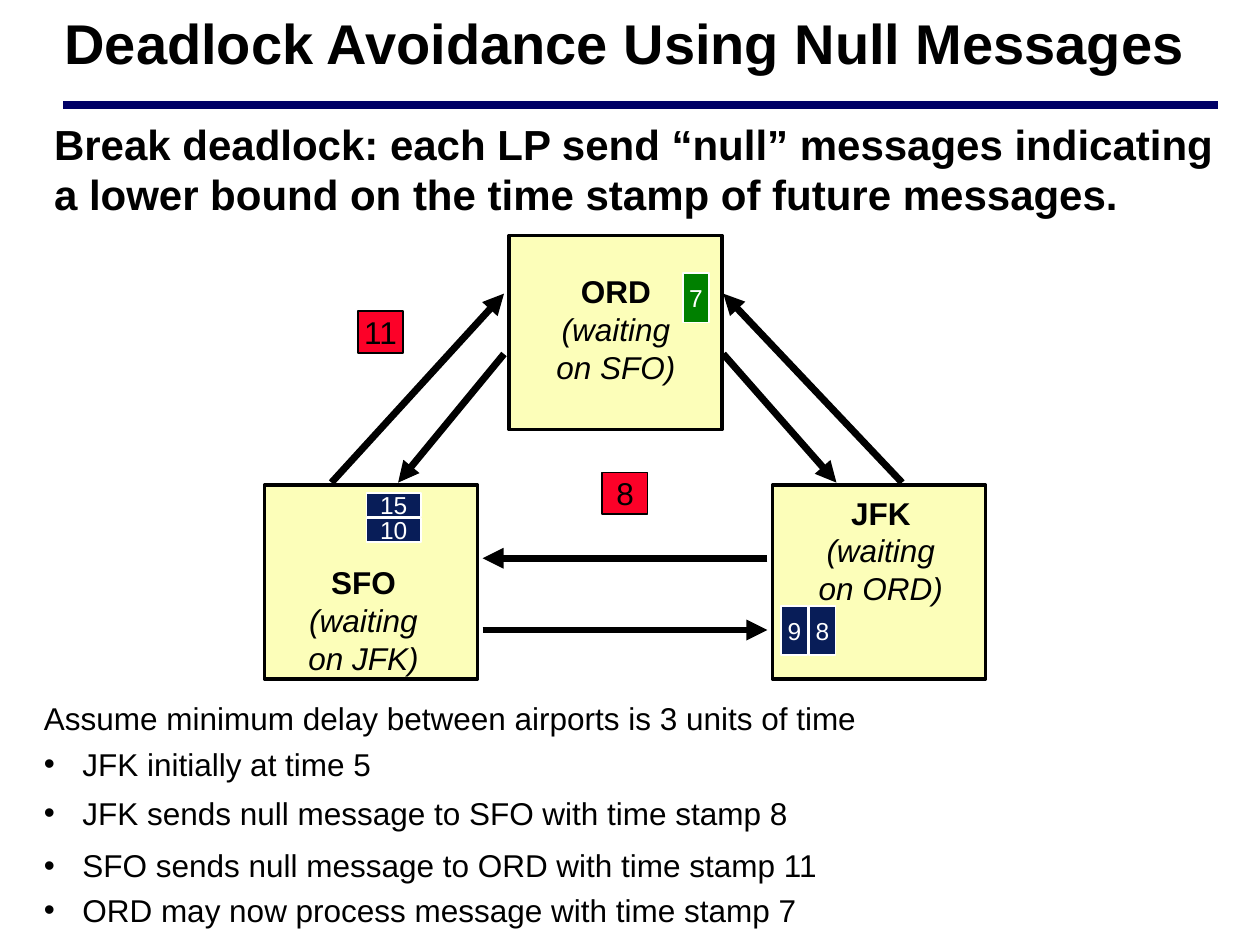
from lxml import etree
from pptx import Presentation
from pptx import util as u
from pptx.dml.color import RGBColor
from pptx.enum import shapes, text
from pptx.oxml.ns import qn

BLACK, WHITE, NAVY, RED, GREEN, CREAM = (
    "000000", "FFFFFF", "081D58", "FC0128", "008000", "FCFEB9")


def rgb(value):
    return RGBColor.from_string(value)


class SlideBuilder:
    font = "Arial"
    indent = 22

    def __init__(self, prs):
        self.slide = prs.slides.add_slide(prs.slide_layouts[6])

    def run(self, p, words, size, color=BLACK, bold=False, italic=False):
        r = p.add_run()
        r.text = words
        r.font.name = self.font
        r.font.size = u.Pt(size)
        r.font.bold = bold
        r.font.italic = italic
        r.font.color.rgb = rgb(color)

    def text_box(self, box, wrap=True, anchor=text.MSO_ANCHOR.TOP):
        tf = self.slide.shapes.add_textbox(*map(u.Pt, box)).text_frame
        tf.word_wrap = wrap
        tf.vertical_anchor = anchor
        return tf

    def heading(self, words, box, size, align, anchor):
        p = self.text_box(box, anchor=anchor).paragraphs[0]
        p.alignment = align
        self.run(p, words, size, bold=True)

    def bullet(self, p, words):
        pPr = p._p.get_or_add_pPr()
        pPr.set("marL", str(u.Pt(self.indent)))
        pPr.set("indent", str(-u.Pt(self.indent)))
        color = etree.SubElement(pPr, qn("a:buClr"))
        etree.SubElement(color, qn("a:srgbClr"), val=BLACK)
        etree.SubElement(pPr, qn("a:buFont"), typeface=self.font)
        etree.SubElement(pPr, qn("a:buChar"), char="•")
        self.run(p, words, 18)

    def rect(self, box, fill, line, width):
        s = self.slide.shapes.add_shape(shapes.MSO_SHAPE.RECTANGLE, *map(u.Pt, box))
        s.shadow.inherit = False
        s.fill.solid()
        s.fill.fore_color.rgb = rgb(fill)
        s.line.color.rgb = rgb(line)
        s.line.width = u.Pt(width)
        return s

    def message(self, stamp, box, fill, line=WHITE, size=14, color=WHITE):
        tf = self.rect(box, fill, line, 1).text_frame
        tf.word_wrap = False
        tf.vertical_anchor = text.MSO_ANCHOR.MIDDLE
        p = tf.paragraphs[0]
        p.alignment = text.PP_ALIGN.CENTER
        self.run(p, stamp, size, color)

    def airport(self, name, waits_on, box, label):
        self.rect(box, CREAM, BLACK, 2)
        tf = self.text_box(label, wrap=False)
        tf.margin_left = tf.margin_right = u.Pt(0)
        for i, words in enumerate((name, "(waiting", f"on {waits_on})")):
            p = tf.paragraphs[0] if i == 0 else tf.add_paragraph()
            p.alignment = text.PP_ALIGN.CENTER
            self.run(p, words, 18, bold=i == 0, italic=i > 0)

    def line(self, start, end, width=4, color=BLACK, arrow=True):
        c = self.slide.shapes.add_connector(
            shapes.MSO_CONNECTOR.STRAIGHT, *map(u.Pt, start + end))
        c.line.color.rgb = rgb(color)
        c.line.width = u.Pt(width)
        if arrow:
            etree.SubElement(c.line._get_or_add_ln(), qn("a:tailEnd"), type="triangle")
        etree.SubElement(c._element.spPr, qn("a:effectLst"))


def main():
    prs = Presentation()
    prs.slide_width, prs.slide_height = u.Pt(720), u.Pt(540)
    s = SlideBuilder(prs)

    s.line((36, 59.8), (696, 59.8), 4.5, "000066", arrow=False)
    s.heading("Deadlock Avoidance Using Null Messages", (18.7, 5.8, 676.8, 36.7), 32,
              text.PP_ALIGN.CENTER, text.MSO_ANCHOR.MIDDLE)
    s.heading("Break deadlock: each LP send “null” messages indicating "
              "a lower bound on the time stamp of future messages.",
              (23.8, 64, 678.5, 67.7), 24, text.PP_ALIGN.LEFT, text.MSO_ANCHOR.TOP)

    for name, waits_on, left, top, label in (
            ("JFK", "ORD", 441.4, 277.2, (460.8, 278.6, 85, 72)),
            ("ORD", "SFO", 290.9, 134.6, (311, 151.9, 82, 72)),
            ("SFO", "JFK", 151.2, 277.2, (169.2, 318.2, 77, 72))):
        s.airport(name, waits_on, (left, top, 121.7, 110.9), label)

    for start, end in (((189.4, 275.8), (288, 167.8)), ((288, 202.3), (227.5, 275.8)),
                       ((515.5, 275.8), (413.3, 167.8)), ((413.3, 202.3), (478, 275.8)),
                       ((438.5, 319), (275.8, 319)), ((275.8, 360), (438.5, 360))):
        s.line(start, end)

    for i, stamp in enumerate(("9", "8")):
        s.message(stamp, (446.4 + 16 * i, 346.3, 15.1, 28.1), NAVY)
    for i, stamp in enumerate(("15", "10")):
        s.message(stamp, (209.5, 281.5 + 14.4 * i, 31, 13.7), NAVY)
    s.message("7", (390.2, 156.2, 15.1, 28.1), GREEN)
    for stamp, left, top in (("8", 344.2, 270), ("11", 204.5, 177.8)):
        s.message(stamp, (left, top, 25.9, 23.8), RED, BLACK, 18, BLACK)

    tf = s.text_box((18, 396, 676.8, 54.7))
    s.run(tf.paragraphs[0], "Assume minimum delay between airports is 3 units of time", 18)
    p = tf.add_paragraph()
    p.space_before = u.Pt(4.5)
    s.bullet(p, "JFK initially at time 5")
    for words, top, width in (
            ("JFK sends null message to SFO with time stamp 8", 450, 534.2),
            ("SFO sends null message to ORD with time stamp 11", 480.2, 486),
            ("ORD may now process message with time stamp 7", 505.4, 491.8)):
        s.bullet(s.text_box((18, top, width, 28.8)).paragraphs[0], words)

    prs.save("out.pptx")


if __name__ == "__main__":
    main()
